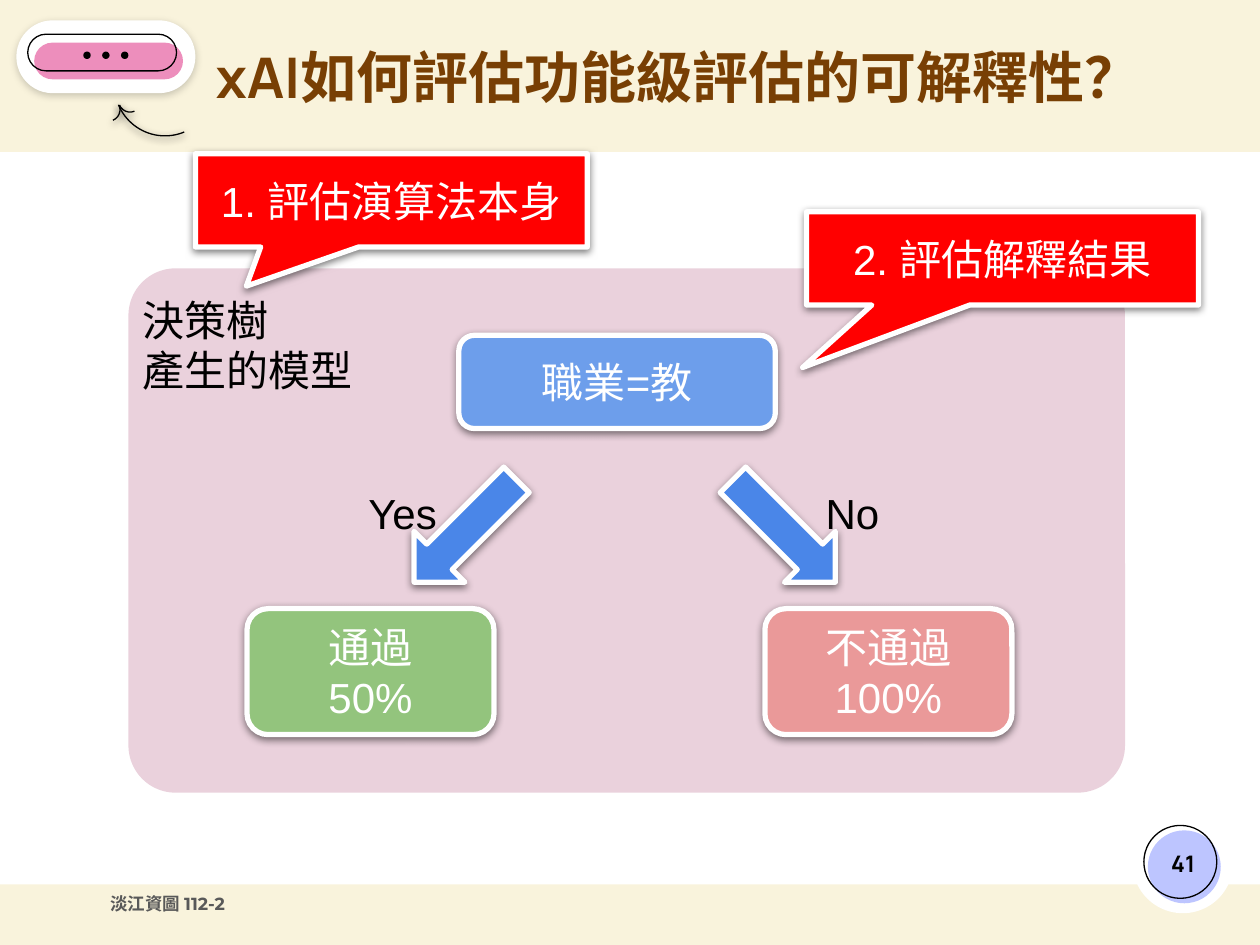
from lxml import etree
from pptx import Presentation
from pptx import util as u
from pptx.dml.color import RGBColor
from pptx.enum import shapes, text
from pptx.oxml.ns import qn

Preset = shapes.MSO_SHAPE
Align = text.PP_ALIGN
Anchor = text.MSO_ANCHOR
INSET = 0.25


def rgb(hex_colour):
    return RGBColor.from_string(hex_colour)


def add_shadow(shape, opacity):
    """Soft shadow straight below the shape; opacity in percent."""
    effects = shape._element.spPr.find(qn("a:effectLst"))
    shadow = etree.SubElement(effects, qn("a:outerShdw"), blurRad=str(u.Pt(4.5)),
                              dist=str(u.Pt(1.5)), dir="5400000", algn="bl", rotWithShape="0")
    colour = etree.SubElement(shadow, qn("a:srgbClr"), val="000000")
    etree.SubElement(colour, qn("a:alpha"), val=str(opacity * 1000))


def flip(shape):
    shape._element.spPr.find(qn("a:xfrm")).set("flipH", "1")


def draw(parent, preset, box, fill=None, line=None, width=0.75, shadow=0, adjust=()):
    """Add a preset shape; box is left, top, width, height in cm."""
    shape = parent.add_shape(preset, *(u.Cm(length) for length in box))
    shape.shadow.inherit = False
    for index, value in enumerate(adjust):
        shape.adjustments[index] = value
    if fill:
        shape.fill.solid()
        shape.fill.fore_color.rgb = rgb(fill)
    else:
        shape.fill.background()
    if line:
        shape.line.color.rgb = rgb(line)
        shape.line.width = u.Pt(width)
    else:
        shape.line.fill.background()
    if shadow:
        add_shadow(shape, shadow)
    return shape


def write(shape, lines, size=24, font="Arial", colour="000000", bold=False,
          align=Align.CENTER, anchor=Anchor.MIDDLE, side=INSET, top=INSET, spacing=None):
    frame = shape.text_frame
    frame.word_wrap = True
    frame.vertical_anchor = anchor
    frame.margin_left = frame.margin_right = u.Cm(side)
    frame.margin_top, frame.margin_bottom = u.Cm(top), u.Cm(INSET)
    frame.text = "\n".join(lines)
    for paragraph in frame.paragraphs:
        paragraph.alignment = align
        paragraph.line_spacing = spacing
        paragraph.font.size = u.Pt(size)
        paragraph.font.name = font
        paragraph.font.bold = bold
        paragraph.font.color.rgb = rgb(colour)


def label(parent, box, wording, **style):
    write(parent.add_textbox(*(u.Cm(length) for length in box)), [wording], **style)


def node(parent, preset, box, fill, lines, adjust=()):
    """White-edged, shadowed shape with white text."""
    shape = draw(parent, preset, box, fill, "FFFFFF", 3, 50, adjust)
    write(shape, lines, colour="FFFFFF", side=0)


def branch(parent, left, angle):
    arrow = draw(parent, Preset.LEFT_ARROW, (left, 9.98, 2.92, 1.45),
                 "4A86E8", "FFFFFF", 3, 50)
    flip(arrow)
    arrow.rotation = angle


def curved_arrow(parent):
    group = parent.add_group_shape().shapes
    for left, top, size, mirrored in ((2.31, 0.71, 2.03, False),
                                      (2.39, 1.8, 0.46, False),
                                      (1.96, 1.98, 0.46, True)):
        arc = draw(group, Preset.ARC, (left, top, size, size), line="000000", shadow=68)
        arc.rotation = 157.5
        if mirrored:
            flip(arc)


def pill(parent):
    group = parent.add_group_shape().shapes
    for box, style in (((0.33, 0.41, 3.61, 1.47), {"fill": "FFFFFF", "shadow": 19}),
                       ((0.69, 0.86, 3, 0.74), {"fill": "ED8EBC"}),
                       ((0.56, 0.69, 3, 0.74), {"line": "000000"})):
        draw(group, Preset.ROUNDED_RECTANGLE, box, adjust=(0.5,), **style)
    for dot in range(3):
        draw(group, Preset.OVAL, (1.68 + 0.38 * dot, 1.04, 0.15, 0.15), "000000")


def page_frame(parent):
    label(parent, (1.98, 17.78, 10.95, 0.94), "淡江資圖 112-2", size=10, font="Montserrat",
          colour="595959", bold=True, align=Align.LEFT, anchor=Anchor.TOP)
    draw(parent, Preset.RECTANGLE, (0, 3.07, 25.4, 14.76), "FFFFFF")
    draw(parent, Preset.OVAL, (22.83, 16.38, 2.03, 2.03), "FFFFFF")
    draw(parent, Preset.OVAL, (23.14, 16.74, 1.47, 1.47), "BDC5FF")
    draw(parent, Preset.OVAL, (23.06, 16.64, 1.47, 1.47), line="000000")
    curved_arrow(parent)
    pill(parent)


def decision_tree(parent):
    rounded = Preset.ROUNDED_RECTANGLE
    node(parent, rounded, (9.25, 6.76, 6.38, 1.88), "6D9EEB", ["職業=教"])
    branch(parent, 14.35, 45)
    branch(parent, 7.92, 135)
    for left, answer in ((6.78, "Yes"), (15.85, "No")):
        label(parent, (left, 9.7, 2.67, 1.12), answer, spacing=1.15)
    for left, fill, lines in ((4.98, "93C47D", ["通過", "50%"]),
                              (15.42, "EA9999", ["不通過", "100%"])):
        node(parent, rounded, (left, 12.27, 4.98, 2.54), fill, lines)


def main():
    deck = Presentation()
    deck.slide_width, deck.slide_height = u.Cm(25.4), u.Cm(19.05)
    slide = deck.slides.add_slide(deck.slide_layouts[6])
    slide.background.fill.solid()
    slide.background.fill.fore_color.rgb = rgb("F9F3DC")
    parent = slide.shapes

    page_frame(parent)
    model = draw(parent, Preset.ROUNDED_RECTANGLE, (2.59, 5.41, 20.09, 10.57),
                 "EAD1DC", adjust=(0.09,))
    write(model, ["決策樹", "產生的模型"], align=Align.LEFT, anchor=Anchor.TOP, side=0)
    label(parent, (3.94, 0.41, 19.48, 2.49), "xAI如何評估功能級評估的可解釋性？",
          size=32, font="Manrope", colour="783F04", bold=True, top=0)
    label(parent, (23.09, 16.69, 1.52, 1.45), "41", size=13, font="Manrope", bold=True)
    decision_tree(parent)
    for left, top, wording, tip in ((3.94, 3.1, "1. 評估演算法本身", (-0.37, 0.92, 0)),
                                    (16.26, 4.27, "2. 評估解釋結果", (-0.51, 1.17, 0))):
        node(parent, Preset.ROUNDED_RECTANGULAR_CALLOUT, (left, top, 7.9, 1.88),
             "FF0000", [wording], tip)
    deck.save("out.pptx")


if __name__ == "__main__":
    main()
